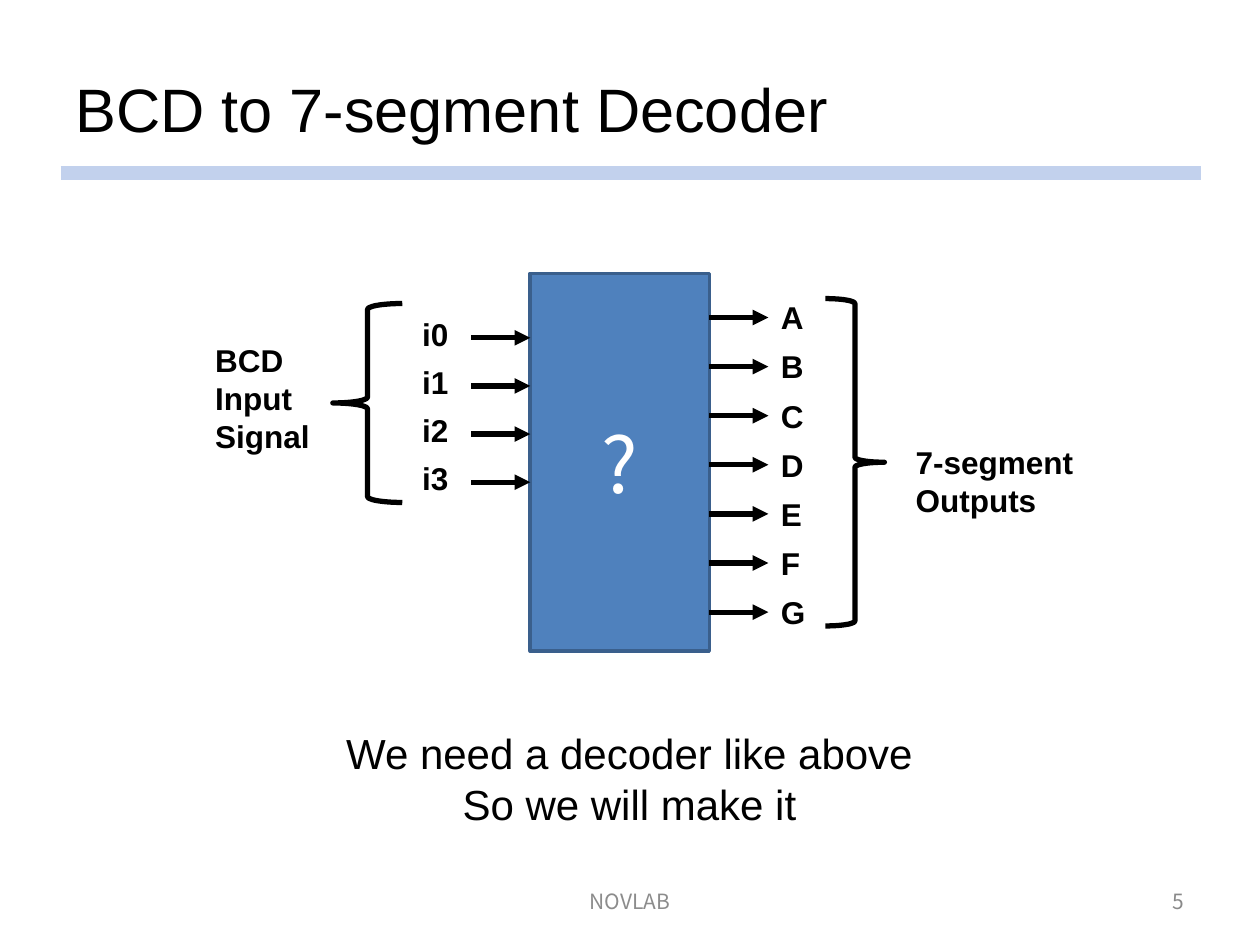
from lxml.etree import SubElement
from pptx import Presentation
from pptx.dml.color import RGBColor
from pptx.enum.shapes import MSO_CONNECTOR, MSO_SHAPE
from pptx.enum.text import MSO_ANCHOR, PP_ALIGN
from pptx.oxml.ns import qn
from pptx.util import Cm, Pt

BODY_FONT = "Arial"
SYMBOL_FONT = "Noto Sans CJK KR"
BLACK = "000000"
LABEL = {"size": Pt(18), "bold": True, "name": BODY_FONT}
INPUT_PITCH = 0.97
OUTPUT_PITCH = 0.99
ARROW_LENGTH = 1.19


def color(hex_value):
    return RGBColor.from_string(hex_value)


def write(shape, paragraphs, font, font_color=BLACK,
          align=PP_ALIGN.LEFT, anchor=MSO_ANCHOR.TOP):
    frame = shape.text_frame
    frame.word_wrap = True
    frame.vertical_anchor = anchor
    frame.text = "\n".join(paragraphs)
    for paragraph in frame.paragraphs:
        paragraph.alignment = align
        for run in paragraph.runs:
            for name, value in font.items():
                setattr(run.font, name, value)
            run.font.color.rgb = color(font_color)


def add_text(slide, box, paragraphs, font, **options):
    shape = slide.shapes.add_textbox(*map(Cm, box))
    write(shape, paragraphs, font, **options)


def add_line(slide, start, end, line_color, width, arrow=False):
    connector = slide.shapes.add_connector(
        MSO_CONNECTOR.STRAIGHT, *map(Cm, (*start, *end)))
    connector.line.color.rgb = color(line_color)
    connector.line.width = Pt(width)
    if arrow:
        SubElement(connector.line._get_or_add_ln(), qn("a:tailEnd"), type="triangle")
    SubElement(connector._element.spPr, qn("a:effectLst"))


def add_brace(slide, kind, box):
    brace = slide.shapes.add_shape(kind, *map(Cm, box))
    brace.shadow.inherit = False
    brace.fill.background()
    brace.line.color.rgb = color(BLACK)
    brace.line.width = Pt(3)


def add_header(slide, left, top, width, height):
    add_line(slide, (left - 0.05, top + 2.72), (left + width + 0.08, top + 2.72),
             "C2D1ED", 8)
    add_text(slide, (left, top, width, height), ["BCD to 7-segment Decoder"],
             {"size": Pt(35), "name": BODY_FONT}, anchor=MSO_ANCHOR.MIDDLE)


def add_decoder(slide, left, top, width, height):
    block = slide.shapes.add_shape(
        MSO_SHAPE.RECTANGLE, *map(Cm, (left, top, width, height)))
    block.shadow.inherit = False
    block.fill.solid()
    block.fill.fore_color.rgb = color("4F81BD")
    block.line.color.rgb = color("3A5F8C")
    block.line.width = Pt(2)
    write(block, ["?"], {"size": Pt(44), "name": SYMBOL_FONT}, font_color="FFFFFF",
          align=PP_ALIGN.CENTER, anchor=MSO_ANCHOR.MIDDLE)


def add_inputs(slide, left, top, width, height):
    add_text(slide, (left, top + 0.64, 2.6, 2.57), ["BCD", "Input\vSignal"], LABEL)
    add_brace(slide, MSO_SHAPE.LEFT_BRACE, (left + 2.62, top, 1.4, height))
    right = left + width
    for index in range(4):
        offset = top + index * INPUT_PITCH
        add_text(slide, (left + 4.17, offset + 0.1, 1.24, 1.02), [f"i{index}"], LABEL)
        add_line(slide, (right - ARROW_LENGTH, offset + 0.69), (right, offset + 0.69),
                 BLACK, 3, arrow=True)


def add_outputs(slide, left, top, width, height):
    for index, letter in enumerate("ABCDEFG"):
        offset = top + index * OUTPUT_PITCH
        add_line(slide, (left, offset + 0.38), (left + ARROW_LENGTH, offset + 0.38),
                 BLACK, 3, arrow=True)
        add_text(slide, (left + ARROW_LENGTH, offset - 0.13, 0.97, 1.02), [letter], LABEL)
    add_brace(slide, MSO_SHAPE.RIGHT_BRACE, (left + 2.34, top, 1.19, height))
    add_text(slide, (left + 3.91, top + 2.79, width - 3.91, 1.8),
             ["7-segment", "Outputs"], LABEL)


def add_conclusion(slide, left, top, width, height):
    add_text(slide, (left, top, width, height),
             ["We need a decoder like above", "So we will make it"],
             {"size": Pt(24), "name": BODY_FONT}, align=PP_ALIGN.CENTER)


def add_footer(slide, left, top, width, height):
    font = {"size": Pt(12), "name": SYMBOL_FONT}
    add_text(slide, (left, top, 8.04, height), ["NOVLAB"], font, font_color="8C8C8C",
             align=PP_ALIGN.CENTER, anchor=MSO_ANCHOR.MIDDLE)
    add_text(slide, (left + width - 5.93, top, 5.93, height), ["5"], font,
             font_color="898989", align=PP_ALIGN.RIGHT, anchor=MSO_ANCHOR.MIDDLE)


def main():
    presentation = Presentation()
    presentation.slide_width = Cm(25.4)
    presentation.slide_height = Cm(19.05)
    slide = presentation.slides.add_slide(presentation.slide_layouts[6])
    add_header(slide, 1.27, 0.76, 22.86, 2.82)
    add_conclusion(slide, 6.43, 14.55, 12.52, 2.31)
    add_decoder(slide, 10.69, 5.51, 3.61, 7.62)
    add_inputs(slide, 4.09, 6.12, 6.6, 4.01)
    add_outputs(slide, 14.3, 6.02, 7.7, 6.6)
    add_footer(slide, 8.68, 17.65, 15.45, 1.02)
    presentation.save("out.pptx")


if __name__ == "__main__":
    main()
